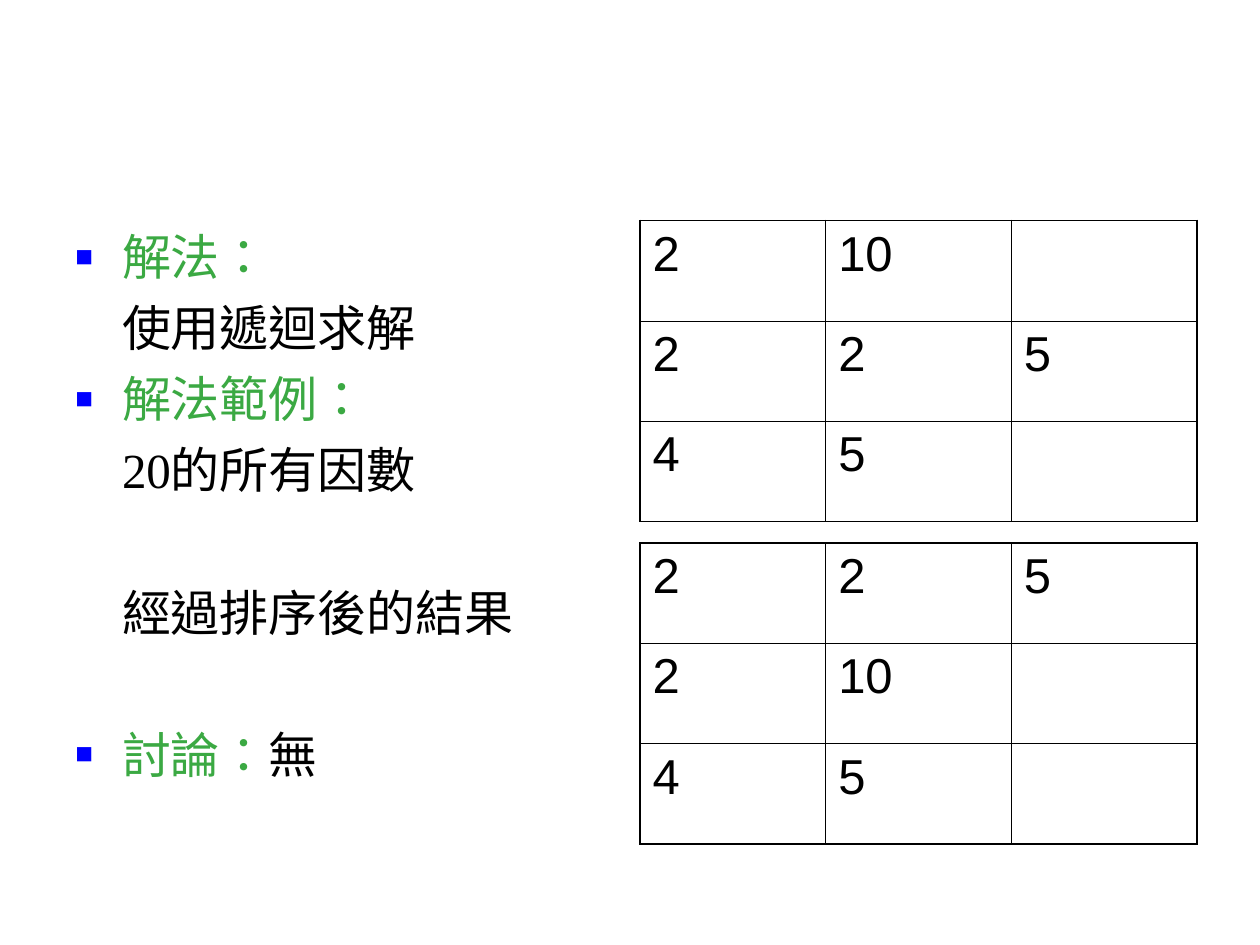
from lxml import etree
from pptx import Presentation
from pptx.dml.color import RGBColor
from pptx.enum.lang import MSO_LANGUAGE_ID
from pptx.oxml.ns import qn
from pptx.util import Inches, Pt

TAIWAN = MSO_LANGUAGE_ID.TAIWAN if hasattr(MSO_LANGUAGE_ID, "TAIWAN") else None
GREEN, BLACK, BLUE = "3BA943", "000000", "0000FF"
CJK, SANS, SERIF = "Noto Sans CJK SC", "Arial", "Times New Roman"
SIZE = 28
GAP, SKIPPED_LINE = 7, 47.6
INDENT = Inches(0.37)
THIN, THICK = 0.45, 1.08

LINES = [
    (True, 0, [("解法：", CJK, GREEN)]),
    (False, GAP, [("使用遞迴求解", SANS, BLACK)]),
    (True, GAP, [("解法範例：", SANS, GREEN)]),
    (False, GAP, [("20", SERIF, BLACK), ("的所有因數", CJK, BLACK)]),
    (False, SKIPPED_LINE, [("經過排序後的結果", CJK, BLACK)]),
    (True, SKIPPED_LINE, [("討論：", SANS, GREEN), ("無", SANS, BLACK)]),
]
FACTORS = [["2", "10", ""], ["2", "2", "5"], ["4", "5", ""]]
SORTED_FACTORS = sorted(FACTORS, key=lambda row: [int(n) for n in row if n])


def rgb(value):
    """Turn a hex string into a colour."""
    return RGBColor.from_string(value)


def add_run(p, text, font, color):
    """Add a run in Traditional Chinese with Latin and East Asian fonts."""
    r = p.add_run()
    r.text = text
    for name, value in {"name": font, "size": Pt(SIZE)}.items():
        setattr(r.font, name, value)
    r.font.color.rgb = rgb(color)
    rPr = r._r.get_or_add_rPr()
    rPr.set("lang", "zh-TW")
    etree.SubElement(rPr, qn("a:ea"), typeface=CJK)


def add_bullet(p):
    """Give a paragraph a small blue square bullet."""
    pPr = p._p.get_or_add_pPr()
    clr = etree.SubElement(pPr, qn("a:buClr"))
    etree.SubElement(clr, qn("a:srgbClr"), val=BLUE)
    etree.SubElement(pPr, qn("a:buSzPct"), val="60000")
    etree.SubElement(pPr, qn("a:buFont"), typeface=SANS)
    etree.SubElement(pPr, qn("a:buChar"), char="■")


def add_outline(s, lines, left, top, width, height):
    """Add the text box of bulleted and indented lines."""
    tf = s.shapes.add_textbox(left, top, width, height).text_frame
    tf.word_wrap = True
    for i, (bulleted, before, runs) in enumerate(lines):
        p = tf.add_paragraph() if i else tf.paragraphs[0]
        pPr = p._p.get_or_add_pPr()
        pPr.set("marL", str(INDENT))
        pPr.set("indent", str(-INDENT if bulleted else 0))
        if bulleted:
            add_bullet(p)
        if before:
            p.space_before = Pt(before)
        for run in runs:
            add_run(p, *run)


def set_borders(cell, widths):
    """Draw the left, right, top and bottom borders of a cell."""
    tcPr = cell._tc.get_or_add_tcPr()
    for i, (side, width) in enumerate(widths.items()):
        ln = etree.Element(qn(f"a:ln{side}"), w=str(Pt(width)))
        fill = etree.SubElement(ln, qn("a:solidFill"))
        etree.SubElement(fill, qn("a:srgbClr"), val=BLACK)
        tcPr.insert(i, ln)


def add_grid(s, rows, left, top, width, height):
    """Add an unfilled table with a thicker outer border."""
    last_row, last_col = len(rows) - 1, len(rows[0]) - 1
    table = s.shapes.add_table(last_row + 1, last_col + 1, left, top, width, height).table
    table.first_row = table.horz_banding = False
    for i, row in enumerate(rows):
        for j, text in enumerate(row):
            cell = table.cell(i, j)
            cell.fill.background()
            outer = {"L": j == 0, "R": j == last_col, "T": i == 0, "B": i == last_row}
            set_borders(cell, {k: THICK if edge else THIN for k, edge in outer.items()})
            if text:
                add_run(cell.text_frame.paragraphs[0], text, SANS, BLACK)


def main():
    """Build the slide and save it."""
    prs = Presentation()
    prs.slide_width, prs.slide_height = Inches(10), Inches(7.5)
    s = prs.slides.add_slide(prs.slide_layouts[6])
    add_outline(s, LINES, Inches(0.5), Inches(1.75), Inches(4.42), Inches(4.95))
    for rows, top in ((FACTORS, 1.75), (SORTED_FACTORS, 4.31)):
        add_grid(s, rows, Inches(5.08), Inches(top), Inches(4.42), Inches(2.39))
    prs.save("out.pptx")


if __name__ == "__main__":
    main()
